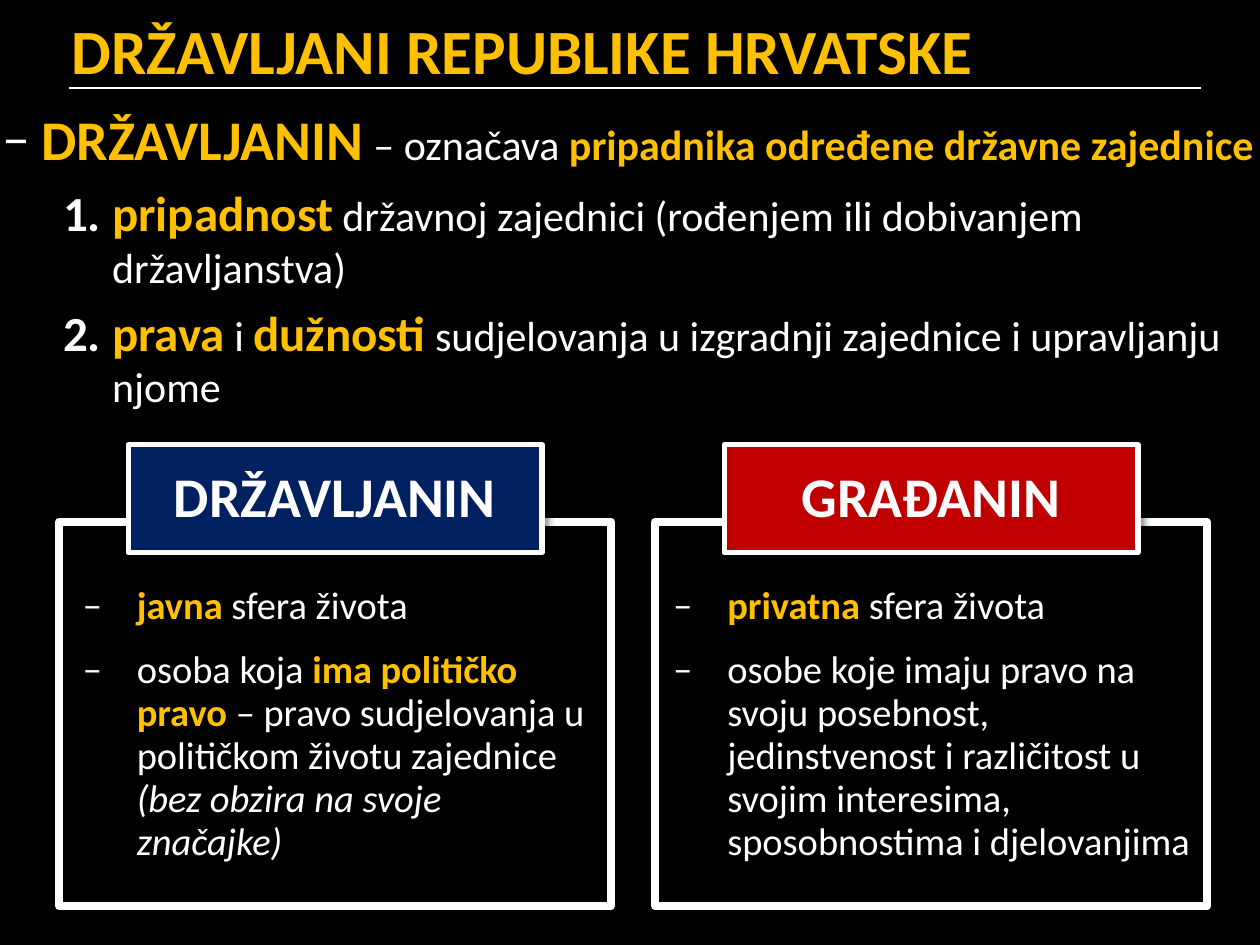
from collections import namedtuple
from dataclasses import dataclass

from lxml import etree
from pptx import Presentation
from pptx.dml.color import RGBColor
from pptx.enum.shapes import MSO_CONNECTOR, MSO_SHAPE
from pptx.enum.text import MSO_ANCHOR, MSO_AUTO_SIZE, PP_ALIGN
from pptx.oxml.ns import qn
from pptx.util import Inches, Pt

RECTANGLE = MSO_SHAPE.RECTANGLE
STRAIGHT = MSO_CONNECTOR.STRAIGHT
LEFT, CENTER = PP_ALIGN.LEFT, PP_ALIGN.CENTER
MIDDLE = MSO_ANCHOR.MIDDLE
NO_FIT, GROW = MSO_AUTO_SIZE.NONE, MSO_AUTO_SIZE.SHAPE_TO_FIT_TEXT
WIDTH, HEIGHT = Inches(10), Inches(7.5)


@dataclass(frozen=True)
class Theme:
    """Colours, font and type sizes of the slide."""
    font: str = "Calibri"
    background: str = "000000"
    plain: str = "FFFFFF"
    accent: str = "FFC000"
    citizen: str = "002060"
    civilian: str = "C00000"
    title: int = 36
    heading: int = 32
    term: int = 28
    body: int = 24
    detail: int = 22


THEME = Theme()
STYLES = {
    "title": (THEME.title, THEME.accent, True, False),
    "keyword": (THEME.heading, THEME.accent, True, False),
    "label": (THEME.heading, THEME.plain, True, False),
    "term": (THEME.term, THEME.accent, True, False),
    "strong": (THEME.body, THEME.accent, True, False),
    "body": (THEME.body, THEME.plain, False, False),
    "key detail": (THEME.detail, THEME.accent, True, False),
    "detail": (THEME.detail, THEME.plain, False, False),
    "aside": (THEME.detail, THEME.plain, False, True),
}

DEFINITION = [
    [("DRŽAVLJANIN", "keyword"), (" ", "strong"), ("– označava ", "body"),
     ("pripadnika određene državne zajednice", "strong")],
    [("pripadnost", "term"), (" ", "strong"),
     ("državnoj zajednici (rođenjem ili dobivanjem državljanstva)", "body")],
    [("prava", "term"), (" i ", "body"), ("dužnosti", "term"),
     (" sudjelovanja u izgradnji zajednice i upravljanju njome", "body")],
]
PUBLIC = [
    [("javna", "key detail"), (" sfera života", "detail")],
    [("osoba koja ", "detail"), ("ima političko pravo", "key detail"),
     (" – pravo sudjelovanja u političkom životu zajednice", "detail"),
     (" (bez obzira na svoje značajke)", "aside")],
]
PRIVATE = [
    [("privatna", "key detail"), (" sfera života", "detail")],
    [("osobe koje imaju pravo na svoju posebnost, jedinstvenost i različitost "
      "u svojim interesima, sposobnostima i djelovanjima", "detail")],
]


class Box(namedtuple("Box", "left top width height")):
    """A rectangle that can be divided by shares of its own size."""

    def share(self, x, y, w, h):
        """Return the inner box at the given shares."""
        return Box(int(self.left + x * self.width), int(self.top + y * self.height),
                   int(w * self.width), int(h * self.height))


def apply(target, values):
    """Set each attribute of the target from a dict."""
    for name, value in values.items():
        setattr(target, name, value)


def place(shape, box):
    """Move a shape into a box."""
    apply(shape, {"left": box.left, "top": box.top, "width": box.width, "height": box.height})


def color(value):
    """Return a colour from its hex code."""
    return RGBColor.from_string(value)


def add_runs(paragraph, runs):
    """Write styled runs into a paragraph."""
    for text, style in runs:
        size, ink, bold, italic = STYLES[style]
        run = paragraph.add_run()
        run.text = text
        apply(run.font, {"name": THEME.font, "size": Pt(size), "bold": bold, "italic": italic})
        run.font.color.rgb = color(ink)


def add_bullet(paragraph, margin, hanging, tag, **marks):
    """Give a paragraph a white bullet or number and a hanging indent."""
    properties = paragraph._p.get_or_add_pPr()
    properties.set("marL", str(Inches(margin)))
    properties.set("indent", str(-Inches(hanging)))
    ink = etree.SubElement(properties, qn("a:buClr"))
    etree.SubElement(ink, qn("a:srgbClr"), val=THEME.plain)
    etree.SubElement(properties, qn("a:buFont"), typeface=THEME.font)
    etree.SubElement(properties, qn(tag), **marks)


def next_paragraph(frame, index):
    """Return the first paragraph or a new one."""
    return frame.add_paragraph() if index else frame.paragraphs[0]


def add_shadow(shape):
    """Give a shape a soft black shadow to the lower right."""
    effects = etree.SubElement(shape._element.spPr, qn("a:effectLst"))
    outer = etree.SubElement(effects, qn("a:outerShdw"), blurRad=str(Pt(4)), dist=str(Pt(3)),
                             dir="2700000", algn="tl", rotWithShape="0")
    ink = etree.SubElement(outer, qn("a:srgbClr"), val="000000")
    etree.SubElement(ink, qn("a:alpha"), val="40000")


def add_frame(slide, box, line_width, fill=None):
    """Draw a white-edged rectangle, hollow unless a fill is given."""
    frame = slide.shapes.add_shape(RECTANGLE, *box)
    frame.line.color.rgb = color(THEME.plain)
    frame.line.width = Pt(line_width)
    if fill:
        frame.fill.solid()
        frame.fill.fore_color.rgb = color(fill)
        add_shadow(frame)
    else:
        frame.fill.background()
        frame.shadow.inherit = False
    return frame


def fill_title(slide, box, rule_box):
    """Place the title and the thin rule below it."""
    title = slide.shapes.title
    place(title, box)
    apply(title.text_frame, {"auto_size": NO_FIT, "vertical_anchor": MIDDLE, "word_wrap": True})
    paragraph = title.text_frame.paragraphs[0]
    paragraph.alignment = LEFT
    add_runs(paragraph, [("DRŽAVLJANI REPUBLIKE HRVATSKE", "title")])
    rule = slide.shapes.add_connector(STRAIGHT, rule_box.left, rule_box.top,
                                      rule_box.left + rule_box.width, rule_box.top)
    rule.line.color.rgb = color(THEME.plain)
    rule.line.width = Pt(1)
    etree.SubElement(rule._element.spPr, qn("a:effectLst"))


def fill_definition(slide, box):
    """Place the definition and its two numbered parts."""
    body = slide.placeholders[1]
    place(body, box)
    apply(body.text_frame, {"auto_size": NO_FIT, "word_wrap": True})
    for index, runs in enumerate(DEFINITION):
        paragraph = next_paragraph(body.text_frame, index)
        apply(paragraph, {"level": min(index, 1), "space_before": Pt(6)})
        if index:
            add_bullet(paragraph, 0.87, 0.39, "a:buAutoNum", type="arabicPeriod")
        else:
            add_bullet(paragraph, 0.31, 0.31, "a:buChar", char="–")
        add_runs(paragraph, runs)


def add_panel(slide, box, label, fill, items, list_left, list_width):
    """Draw a framed panel with an overlapping label and a dashed list."""
    add_frame(slide, box, 4.5)
    tab = add_frame(slide, box.share(0.125, -0.2, 0.75, 0.28), 3, fill)
    tab.text_frame.vertical_anchor = MIDDLE
    heading = tab.text_frame.paragraphs[0]
    apply(heading, {"alignment": CENTER, "line_spacing": 0.93})
    add_runs(heading, [(label, "label")])
    details = slide.shapes.add_textbox(*box.share(list_left, 0.15, list_width, 0.77))
    apply(details.text_frame, {"word_wrap": True, "auto_size": GROW})
    for index, runs in enumerate(items):
        paragraph = next_paragraph(details.text_frame, index)
        apply(paragraph, {"line_spacing": 0.93, "space_before": Pt(12)})
        add_bullet(paragraph, 0.43, 0.43, "a:buChar", char="‒")
        add_runs(paragraph, runs)


def main():
    """Build and save the slide."""
    deck = Presentation()
    apply(deck, {"slide_width": WIDTH, "slide_height": HEIGHT})
    slide = deck.slides.add_slide(deck.slide_layouts[1])
    slide.background.fill.solid()
    slide.background.fill.fore_color.rgb = color(THEME.background)
    page = Box(0, 0, WIDTH, HEIGHT)
    fill_title(slide, page.share(0.047, 0.01, 0.953, 0.084), page.share(0.055, 0.093, 0.898, 0))
    fill_definition(slide, page.share(-0.008, 0.104, 1.016, 0.844))
    panels = [("DRŽAVLJANIN", THEME.citizen, PUBLIC, 0.02, 0.96),
              ("GRAĐANIN", THEME.civilian, PRIVATE, 0.01, 1)]
    for column, content in enumerate(panels):
        add_panel(slide, page.share(0.047 + 0.473 * column, 0.552, 0.438, 0.407), *content)
    deck.save("out.pptx")


if __name__ == "__main__":
    main()
